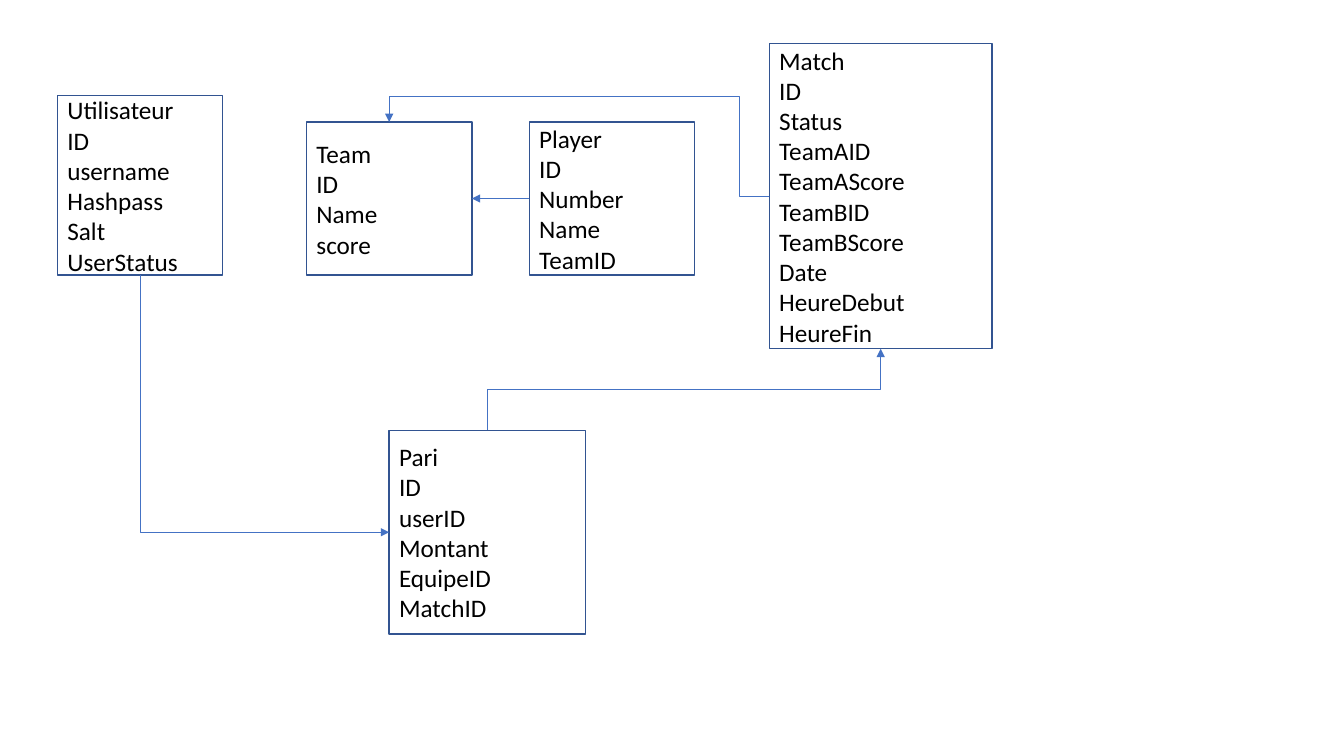
"""Build a slide with the entity diagram of a betting database."""
from lxml.etree import SubElement
from pptx import Presentation
from pptx.dml.color import RGBColor
from pptx.enum.shapes import MSO_CONNECTOR, MSO_SHAPE
from pptx.enum.text import MSO_ANCHOR, PP_ALIGN
from pptx.oxml.ns import qn
from pptx.util import Inches, Pt

BORDER = RGBColor(0x32, 0x54, 0x91)
LINK = RGBColor(0x44, 0x72, 0xC4)
BLACK = RGBColor(0, 0, 0)
TOP, LEFT, BOTTOM, RIGHT = range(4)

ENTITIES = [
    (0.57, 0.95, 1.64, 1.78, "Utilisateur ID username Hashpass Salt UserStatus"),
    (3.04, 1.21, 1.64, 1.52, "Team ID Name score"),
    (3.86, 4.27, 1.95, 2.02, "Pari ID userID Montant EquipeID MatchID"),
    (5.25, 1.21, 1.64, 1.52, "Player ID Number Name TeamID"),
    (7.63, 0.43, 2.21, 3.03,
     "Match ID Status TeamAID TeamAScore TeamBID TeamBScore Date HeureDebut HeureFin"),
]
RELATIONS = [
    ("Utilisateur", BOTTOM, "Pari", LEFT, "bentConnector2", 270, "1", "0", []),
    ("Pari", TOP, "Match", BOTTOM, "bentConnector3", 90, "1", "1", []),
    ("Player", LEFT, "Team", RIGHT, "straightConnector1", 180, "0", "1", []),
    ("Match", LEFT, "Team", TOP, "bentConnector4", 180, "0", "0", [8000, 134100]),
]

prs = Presentation()
prs.slide_width = Inches(13.33)
prs.slide_height = Inches(7.5)
s = prs.slides.add_slide(prs.slide_layouts[6])

boxes = {}
for x, y, w, h, words in ENTITIES:
    names = words.split()
    sp = s.shapes.add_shape(MSO_SHAPE.RECTANGLE, Inches(x), Inches(y), Inches(w), Inches(h))
    sp.shadow.inherit = False
    sp.fill.background()
    sp.line.color.rgb = BORDER
    sp.line.width = Pt(1)
    tf = sp.text_frame
    tf.word_wrap = True
    tf.vertical_anchor = MSO_ANCHOR.MIDDLE
    tf.text = "\n".join(names)
    for p in tf.paragraphs:
        p.alignment = PP_ALIGN.LEFT
        for r in p.runs:
            r.font.name = "Calibri"
            r.font.size = Pt(18)
            r.font.color.rgb = BLACK
    boxes[names[0]] = sp

for start, start_side, end, end_side, bend, turn, flip_h, flip_v, adjusts in RELATIONS:
    a, b = boxes[start], boxes[end]
    link = s.shapes.add_connector(MSO_CONNECTOR.ELBOW, a.left, a.top, b.left, b.top)
    link.begin_connect(a, start_side)
    link.end_connect(b, end_side)
    if turn % 180:
        w, h = link.width, link.height
        link.left += (w - h) // 2
        link.top += (h - w) // 2
        link.width, link.height = h, w
    link.line.color.rgb = LINK
    link.line.width = Pt(0.5)

    props = link._element.spPr
    frame = props.find(qn("a:xfrm"))
    frame.set("rot", str(turn * 60000))
    frame.set("flipH", flip_h)
    frame.set("flipV", flip_v)
    geom = props.find(qn("a:prstGeom"))
    geom.set("prst", bend)
    for n, value in enumerate(adjusts, 1):
        SubElement(geom.find(qn("a:avLst")), qn("a:gd"), name=f"adj{n}", fmla=f"val {value}")
    SubElement(props.find(qn("a:ln")), qn("a:tailEnd"), type="triangle")
    SubElement(props, qn("a:effectLst"))

prs.save("out.pptx")
